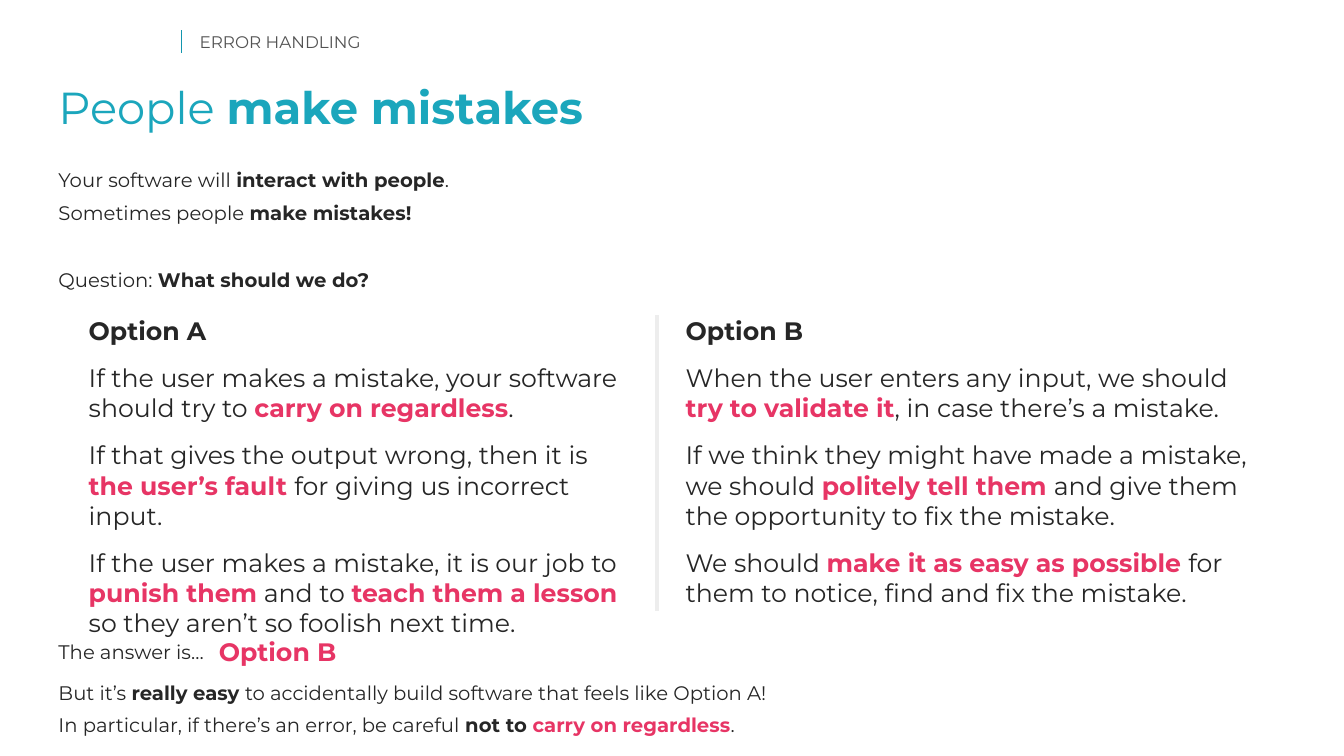
from dataclasses import dataclass

from lxml import etree
from pptx import Presentation
from pptx.dml.color import RGBColor
from pptx.enum import shapes, text
from pptx.oxml import ns
from pptx.util import Inches, Pt

COLOURS = {
    "title": "1BA6BC", "marker": "1396AE", "section": "535353", "body": "262626",
    "accent": "E73565", "divider": "EDEDED", "white": "FFFFFF",
}
FONT = "Montserrat"
MARGIN = 0.58
COLUMN_TOP, COLUMN_HEIGHT = 3.13, 2.93


@dataclass(frozen=True)
class Span:
    words: str
    bold: bool = False
    colour: str = "body"
    break_before: bool = False


@dataclass(frozen=True)
class TextBlock:
    left: float
    top: float
    width: float
    height: float
    paragraphs: list[list[Span]]
    size: int = 14
    space_after: int = 6
    line_spacing: float = 1.0
    fill: str | None = None


@dataclass(frozen=True)
class Rule:
    left: float
    top: float
    bottom: float
    colour: str
    weight: float


def bold(words: str) -> Span:
    return Span(words, True)


def accent(words: str, break_before: bool = False) -> Span:
    return Span(words, True, "accent", break_before)


def option_column(left: float, width: float, paragraphs: list[list[Span]]) -> TextBlock:
    return TextBlock(left, COLUMN_TOP, width, COLUMN_HEIGHT, paragraphs, 18, 12)


RULES = [
    Rule(1.8, 0.3, 0.53, "marker", 1),
    Rule(6.52, COLUMN_TOP, COLUMN_TOP + COLUMN_HEIGHT, "divider", 3),
]

BLOCKS = [
    TextBlock(1.98, 0.34, 9.37, 0.19, [[Span("ERROR HANDLING", colour="section")]],
              12, 0, 0.9),
    TextBlock(MARGIN, 0.85, 12.12, 0.48,
              [[Span("People ", colour="title"), Span("make mistakes", True, "title")]],
              32, 0, 0.9),
    TextBlock(MARGIN, 1.67, 3.95, 0.24,
              [[Span("Your software will "), bold("interact with people"), Span(".")]]),
    TextBlock(MARGIN, 1.99, 3.95, 0.24,
              [[Span("Sometimes people "), bold("make mistakes!")]]),
    TextBlock(MARGIN, 2.66, 3.95, 0.24,
              [[Span("Question: "), bold("What should we do?")]]),
    option_column(0.88, 5.49, [
        [bold("Option A")],
        [Span("If the user makes a mistake, your software should try to "),
         accent("carry on regardless"), Span(".")],
        [Span("If that gives the output wrong, then it is "),
         accent("the user’s fault ", break_before=True),
         Span("for giving us incorrect input.")],
        [Span("If the user makes a mistake, it is our job to "), accent("punish them"),
         Span(" and to "), accent("teach them a lesson "),
         Span("so they aren’t so foolish next time.")],
    ]),
    option_column(6.8, 5.59, [
        [bold("Option B")],
        [Span("When the user enters any input, we should "),
         accent("try to validate it", break_before=True),
         Span(", in case there’s a mistake.")],
        [Span("If we think they might have made a mistake, we should "),
         accent("politely tell them "),
         Span("and give them the opportunity to fix the mistake.")],
        [Span("We should "), accent("make it as easy as possible "),
         Span("for them to notice, find and fix the mistake.")],
    ]),
    TextBlock(MARGIN, 6.35, 1.61, 0.24, [[Span("The answer is…")]]),
    TextBlock(2.17, 6.31, 1.41, 0.3, [[accent("Option B")]], 18, 12, fill="white"),
    TextBlock(MARGIN, 6.76, 11.01, 0.56, [
        [Span("But it’s "), bold("really easy "),
         Span("to accidentally build software that feels like Option A!")],
        [Span("In particular, if there’s an error, be careful "), bold("not to "),
         accent("carry on regardless"), Span(".")],
    ]),
]


def colour(name: str) -> RGBColor:
    return RGBColor.from_string(COLOURS[name])


def draw_rule(page, rule: Rule) -> None:
    line = page.shapes.add_connector(
        shapes.MSO_CONNECTOR.STRAIGHT, Inches(rule.left), Inches(rule.top),
        Inches(rule.left), Inches(rule.bottom))
    line.line.color.rgb = colour(rule.colour)
    line.line.width = Pt(rule.weight)
    etree.SubElement(line._element.spPr, ns.qn("a:effectLst"))


def add_span(paragraph, span: Span, size: int) -> None:
    if span.break_before:
        paragraph.add_line_break()
    run = paragraph.add_run()
    run.text = span.words
    run.font.name = FONT
    run.font.size = Pt(size)
    run.font.bold = span.bold
    run.font.color.rgb = colour(span.colour)


def draw_block(page, block: TextBlock) -> None:
    bounds = [Inches(n) for n in (block.left, block.top, block.width, block.height)]
    if block.fill:
        box = page.shapes.add_shape(shapes.MSO_SHAPE.RECTANGLE, *bounds)
        box.shadow.inherit = False
        box.fill.solid()
        box.fill.fore_color.rgb = colour(block.fill)
        box.line.fill.background()
    else:
        box = page.shapes.add_textbox(*bounds)
    frame = box.text_frame
    frame.word_wrap = True
    frame.auto_size = text.MSO_AUTO_SIZE.SHAPE_TO_FIT_TEXT
    frame.vertical_anchor = text.MSO_ANCHOR.TOP
    frame.margin_left = frame.margin_right = frame.margin_top = frame.margin_bottom = 0
    for index, spans in enumerate(block.paragraphs):
        paragraph = frame.add_paragraph() if index else frame.paragraphs[0]
        paragraph.alignment = text.PP_ALIGN.LEFT
        paragraph.space_after = Pt(block.space_after)
        paragraph.line_spacing = block.line_spacing
        for span in spans:
            add_span(paragraph, span, block.size)


def main() -> None:
    deck = Presentation()
    deck.slide_width, deck.slide_height = Inches(13.33), Inches(7.5)
    page = deck.slides.add_slide(deck.slide_layouts[6])
    for rule in RULES:
        draw_rule(page, rule)
    for block in BLOCKS:
        draw_block(page, block)
    deck.save("out.pptx")


if __name__ == "__main__":
    main()
